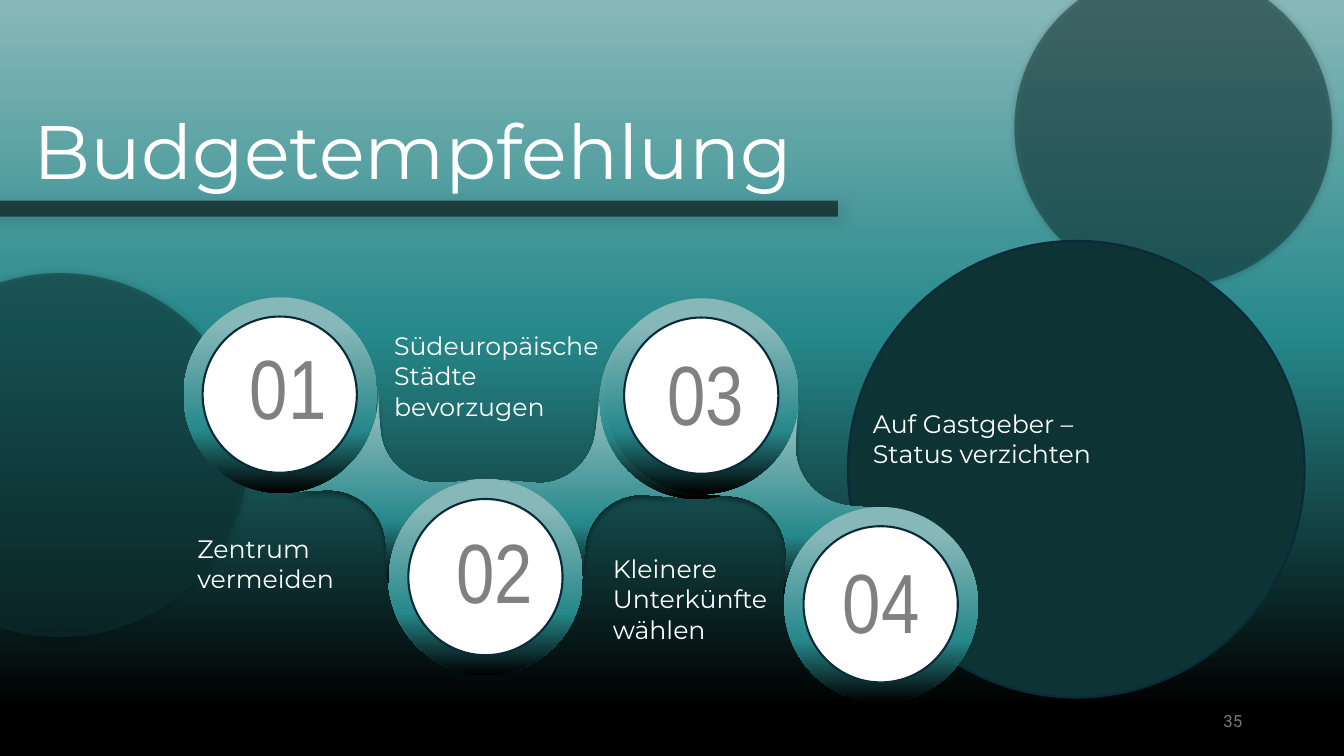
"""Build the budget recommendation slide: four linked number discs over a teal gradient."""
from copy import deepcopy
from dataclasses import dataclass

from lxml import etree
from pptx import Presentation
from pptx.dml.color import RGBColor
from pptx.enum.shapes import MSO_SHAPE
from pptx.enum.text import MSO_ANCHOR, PP_ALIGN
from pptx.oxml.ns import qn
from pptx.util import Inches, Pt

OVAL, RECTANGLE = MSO_SHAPE.OVAL, MSO_SHAPE.RECTANGLE
LEFT, RIGHT = PP_ALIGN.LEFT, PP_ALIGN.RIGHT
TOP, MIDDLE = MSO_ANCHOR.TOP, MSO_ANCHOR.MIDDLE


@dataclass(frozen=True)
class Theme:
    white: str = "FFFFFF"
    black: str = "000000"
    dark: str = "0E3334"
    outline: str = "092A39"
    number: str = "808080"
    page: str = "797979"
    shades: tuple = ("87B8B9", "26888A", "000000")
    body_font: str = "Montserrat"
    number_font: str = "Arial Narrow"
    page_font: str = "Roboto"
    title_size: int = 54
    number_size: int = 60
    body_size: int = 18
    page_size: int = 12


THEME = Theme()


def paint(shape, color=None, stops=None, opacity=100, outline=None, shadow=None):
    """Fill with one colour or the theme gradient; shadow is (opacity, blur, distance, angle)."""
    fill = shape.fill
    if stops:
        fill.gradient()
        fill.gradient_angle = 270
        gradient = shape._element.spPr.find(qn("a:gradFill"))
        gradient.set("rotWithShape", "0")
        stop_list = gradient.find(qn("a:gsLst"))
        stop_list.append(deepcopy(stop_list[0]))
        for stop, position, shade in zip(fill.gradient_stops, stops, THEME.shades):
            stop.position = position / 100
            stop.color.rgb = RGBColor.from_string(shade)
    else:
        fill.solid()
        fill.fore_color.rgb = RGBColor.from_string(color)
        if opacity < 100:
            solid = shape._element.spPr.find(qn("a:solidFill"))
            etree.SubElement(solid[0], qn("a:alpha"), val=str(opacity * 1000))
    if outline:
        shape.line.color.rgb = RGBColor.from_string(outline)
        shape.line.width = Pt(1.5)
    else:
        shape.line.fill.background()
    shape.shadow.inherit = False
    if shadow:
        strength, blur, distance, angle = shadow
        effects = shape._element.spPr.find(qn("a:effectLst"))
        outer = etree.SubElement(
            effects, qn("a:outerShdw"), blurRad=str(Pt(blur)), dist=str(Pt(distance)),
            dir=str(angle * 60000), algn="ctr", rotWithShape="0")
        tint = etree.SubElement(outer, qn("a:srgbClr"), val=THEME.black)
        etree.SubElement(tint, qn("a:alpha"), val=str(strength * 1000))


def write(box, lines, font, size, color, align=LEFT, anchor=TOP):
    """Put the lines into the box, one paragraph each."""
    frame = box.text_frame
    frame.word_wrap = True
    frame.vertical_anchor = anchor
    frame.text = "\n".join(lines)
    for paragraph in frame.paragraphs:
        paragraph.alignment = align
        paragraph.line_spacing = 1.0
        paragraph.space_before = Pt(0)
        paragraph.font.name = font
        paragraph.font.size = Pt(size)
        paragraph.font.color.rgb = RGBColor.from_string(color)


deck = Presentation()
deck.slide_width, deck.slide_height = Inches(13.33), Inches(7.5)
slide = deck.slides.add_slide(deck.slide_layouts[5])
shapes = slide.shapes

title = shapes.title
title.left, title.top, title.width, title.height = map(Inches, (0.23, 0.98, 8.26, 1.01))
write(title, ["Budgetempfehlung"], THEME.body_font, THEME.title_size, THEME.white)

backdrop = shapes.add_shape(RECTANGLE, *map(Inches, (-0.52, -0.74, 14.38, 8.81)))
paint(backdrop, stops=(9, 46, 88), outline=THEME.white)
title._element.addprevious(backdrop._element)

page_number = shapes.add_textbox(*map(Inches, (9.42, 6.95, 3, 0.4)))
write(page_number, ["35"], THEME.page_font, THEME.page_size, THEME.page, RIGHT, MIDDLE)

soft = (40, 5, 0, 0)
decorations = [
    (OVAL, (10.06, -0.31, 3.15, 3.15), dict(color=THEME.dark, opacity=50, shadow=soft)),
    (OVAL, (8.41, 2.39, 4.53, 4.53), dict(color=THEME.dark, outline=THEME.outline)),
    (OVAL, (-1.27, 2.71, 3.73, 3.61), dict(color=THEME.dark, opacity=50, shadow=soft)),
    (RECTANGLE, (-1, 1.99, 9.31, 0.16),
     dict(color=THEME.black, opacity=56, shadow=(30, 12, 3, 45))),
]
for kind, place, look in decorations:
    paint(shapes.add_shape(kind, *map(Inches, place)), **look)

# Each link: disc corners, the sum of opposite points, one disc arc and one fillet.
links = [
    (((5.95, 3.01), (3.85, 4.75)), (11.71, 9.7),
     [(5.95, 3.88), (5.9, 4.42), (6.28, 4.89), (6.81, 4.94)],
     [(6.43, 4.91), (6.11, 4.87), (5.83, 5.11), (5.8, 5.43)]),
    (((1.82, 2.95), (3.86, 4.76)), (7.6, 9.65),
     [(2.83, 4.88), (3.36, 4.85), (3.78, 4.4), (3.75, 3.87)],
     [(3.77, 4.25), (3.78, 4.57), (4.06, 4.81), (4.38, 4.79)]),
    (((7.78, 5.03), (6, 2.96)), (15.69, 9.94),
     [(8.81, 5.05), (8.28, 5), (7.81, 5.39), (7.77, 5.92)],
     [(7.8, 5.54), (7.82, 5.22), (7.58, 4.95), (7.26, 4.92)]),
]
disc_stops = (14, 68, 100)
steps = 16
rim = 0.19
for discs, (sum_x, sum_y), arc, fillet in links:
    half = []
    for curve in (arc, fillet):
        for step in range(steps + 1):
            t = step / steps
            weights = ((1 - t) ** 3, 3 * t * (1 - t) ** 2, 3 * t * t * (1 - t), t ** 3)
            half.append([sum(w * p[axis] for w, p in zip(weights, curve)) for axis in (0, 1)])
    contour = half + [(sum_x - x, sum_y - y) for x, y in half]
    points = [(Inches(x), Inches(y)) for x, y in contour]
    builder = shapes.build_freeform(*points[0])
    builder.add_line_segments(points[1:], close=True)
    paint(builder.convert_to_shape(), stops=disc_stops, shadow=(40, 4, 3, 90))
    for x, y in discs:
        disc = shapes.add_shape(OVAL, *map(Inches, (x, y, 1.92, 1.94)))
        paint(disc, stops=disc_stops)
    for x, y in discs:
        face = shapes.add_shape(OVAL, *map(Inches, (x + rim, y + rim, 1.53, 1.55)))
        paint(face, THEME.white, outline=THEME.outline)

number_corners = [(2.38, 3.28), (4.43, 5.1), (6.52, 3.34), (8.26, 5.4)]
for index, (x, y) in enumerate(number_corners, 1):
    number = shapes.add_textbox(*map(Inches, (x, y, 1.01, 1.11)))
    write(number, [f"{index:02}"], THEME.number_font, THEME.number_size, THEME.number)

tips = [
    ((3.81, 3.23, 2.59, 1.01), ["Südeuropäische Städte", "bevorzugen"]),
    ((1.86, 5.24, 2.08, 0.71), ["Zentrum vermeiden"]),
    ((8.56, 4, 2.39, 0.71), ["Auf Gastgeber –\vStatus verzichten"]),
    ((5.98, 5.44, 2.3, 1.01), ["Kleinere Unterkünfte wählen"]),
]
for place, lines in tips:
    tip = shapes.add_textbox(*map(Inches, place))
    write(tip, lines, THEME.body_font, THEME.body_size, THEME.white)

deck.save("out.pptx")
